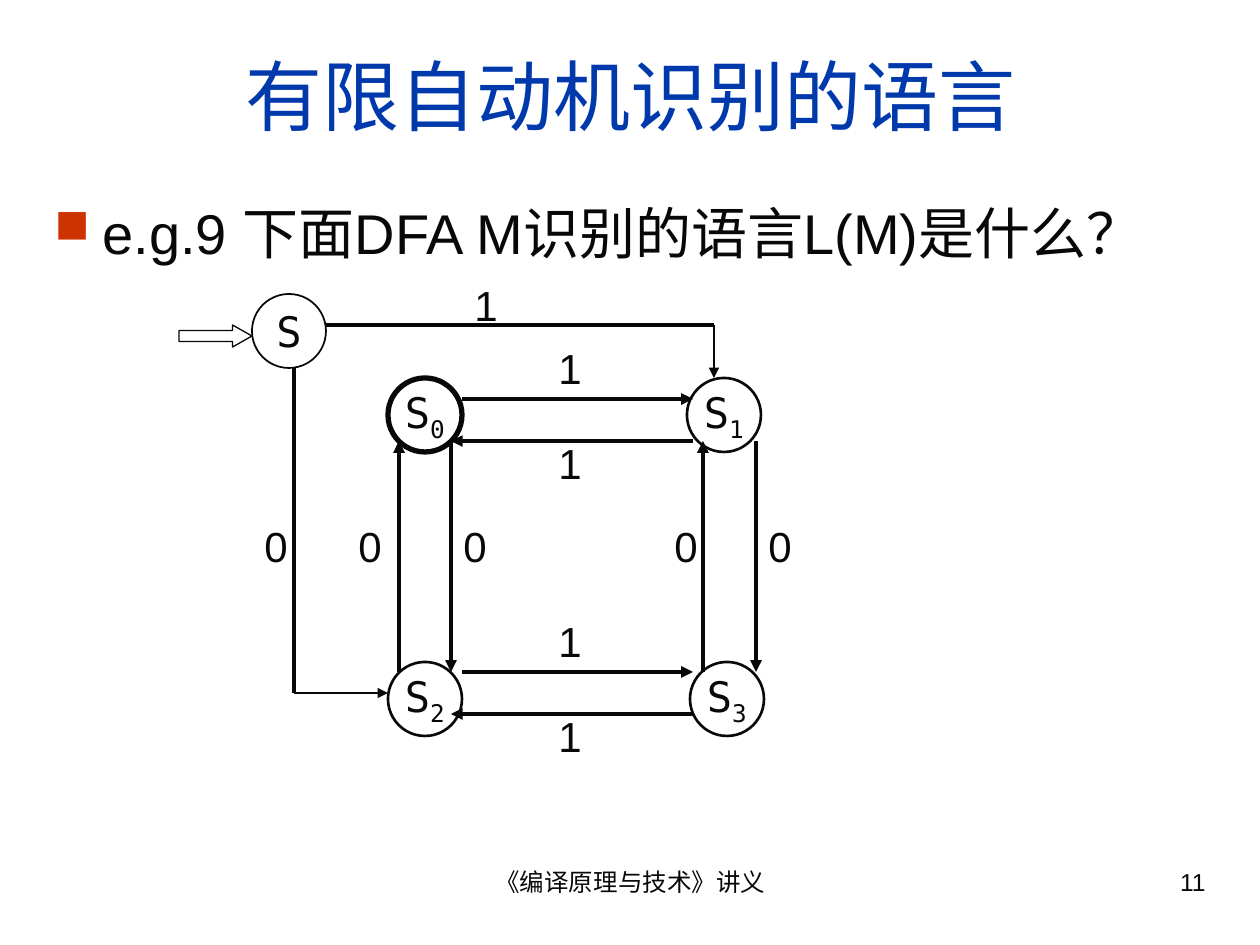
from lxml.etree import SubElement
from pptx import Presentation
from pptx.dml.color import RGBColor
from pptx.enum.shapes import MSO_CONNECTOR, MSO_SHAPE
from pptx.enum.text import MSO_ANCHOR, PP_ALIGN
from pptx.oxml.ns import qn
from pptx.util import Pt

EMU_PER_PX = 914400 / 126
COLORS = {"ink": "080808", "title": "0039AC", "bullet": "CC3300"}
SANS, MONO = "Arial", "DejaVu Sans Mono"


def px(length):
    return round(length * EMU_PER_PX)


class AutomatonSlide:
    def __init__(self, slide):
        self.shapes = slide.shapes

    def style(self, font, size, color="ink", name=SANS):
        font.size = Pt(size)
        font.name = name
        font.color.rgb = RGBColor.from_string(COLORS[color])

    def outline(self, line, width):
        line.color.rgb = RGBColor.from_string(COLORS["ink"])
        line.width = Pt(width)

    def text(self, box, words, size, align=PP_ALIGN.LEFT, color="ink",
             anchor=MSO_ANCHOR.TOP, bullet=None):
        frame = self.shapes.add_textbox(*map(px, box)).text_frame
        frame.word_wrap = True
        frame.vertical_anchor = anchor
        paragraph = frame.paragraphs[0]
        paragraph.text = words
        paragraph.alignment = align
        if bullet:
            self.bullet(paragraph, bullet)
        self.style(paragraph.font, size, color)

    def bullet(self, paragraph, mark, indent=48):
        props = paragraph._p.get_or_add_pPr()
        props.set("marL", str(px(indent)))
        props.set("indent", str(-px(indent)))
        mark_color = SubElement(props, qn("a:buClr"))
        SubElement(mark_color, qn("a:srgbClr"), val=COLORS["bullet"])
        SubElement(props, qn("a:buSzPct"), val="85000")
        SubElement(props, qn("a:buChar"), char=mark)

    def shape(self, kind, box, width):
        shape = self.shapes.add_shape(kind, *map(px, box))
        shape.shadow.inherit = False
        shape.fill.background()
        self.outline(shape.line, width)
        return shape

    def state(self, left, top, index="", width=1.5, size=74):
        circle = self.shape(MSO_SHAPE.OVAL, (left, top, size, size), width)
        frame = circle.text_frame
        frame.word_wrap = False
        frame.vertical_anchor = MSO_ANCHOR.MIDDLE
        paragraph = frame.paragraphs[0]
        paragraph.alignment = PP_ALIGN.CENTER
        paragraph.add_run().text = "S"
        if index:
            subscript = paragraph.add_run()
            subscript.text = index
            subscript._r.get_or_add_rPr().set("baseline", "-25000")
        self.style(paragraph.font, 24, name=MONO)

    def start_arrow(self, box):
        arrow = self.shape(MSO_SHAPE.RIGHT_ARROW, box, 0.75)
        arrow.adjustments[0] = 0.5
        arrow.adjustments[1] = 0.88

    def edge(self, x1, y1, x2, y2, width=2.25, head=True):
        edge = self.shapes.add_connector(
            MSO_CONNECTOR.STRAIGHT, *map(px, (x1, y1, x2, y2)))
        self.outline(edge.line, width)
        if head:
            SubElement(edge.line._get_or_add_ln(), qn("a:tailEnd"), type="triangle")
        SubElement(edge._element.spPr, qn("a:effectLst"))

    def label(self, symbol, left, top):
        self.text((left, top, 74, 63), symbol, 24)


def main():
    deck = Presentation()
    deck.slide_width, deck.slide_height = px(1260), px(945)
    page = AutomatonSlide(deck.slides.add_slide(deck.slide_layouts[6]))

    # Footer, title and question
    page.text((431, 861, 399, 66), "《编译原理与技术》讲义", 14, PP_ALIGN.CENTER)
    page.text((903, 861, 315, 66), "11", 14, PP_ALIGN.RIGHT)
    page.text((42, 32, 1177, 126), "有限自动机识别的语言", 44, PP_ALIGN.CENTER,
              "title", MSO_ANCHOR.MIDDLE)
    page.text((42, 192, 1177, 92), "e.g.9 下面DFA M识别的语言L(M)是什么？", 32,
              bullet="■")

    # States: start, then the square of four, with S0 accepting
    page.start_arrow((179, 325, 73, 22))
    page.state(252, 294, width=1)
    page.state(388, 378, "0", width=3)
    page.state(687, 378, "1")
    page.state(388, 662, "2")
    page.state(690, 662, "3")

    # Transitions on 1: a pair of opposite arrows per row
    for y in (399, 672):
        page.edge(462, y, 693, y)
        page.edge(693, y + 42, 451, y + 42)
        page.label("1", 546, y - 63)
        page.label("1", 546, y + 32)

    # Transitions on 0: a pair of opposite arrows per column
    for up, down in ((399, 451), (703, 756)):
        page.edge(up, 672, up, 441)
        page.edge(down, 441, down, 672)
    for left in (252, 346, 451, 662, 756):
        page.label("0", left, 514)

    # Bent transitions out of the start state
    page.edge(325, 325, 714, 325, head=False)
    page.edge(714, 325, 714, 378, width=1.5)
    page.label("1", 462, 273)
    page.edge(294, 368, 294, 693, head=False)
    page.edge(294, 693, 388, 693, width=1.5)

    deck.save("out.pptx")


if __name__ == "__main__":
    main()
